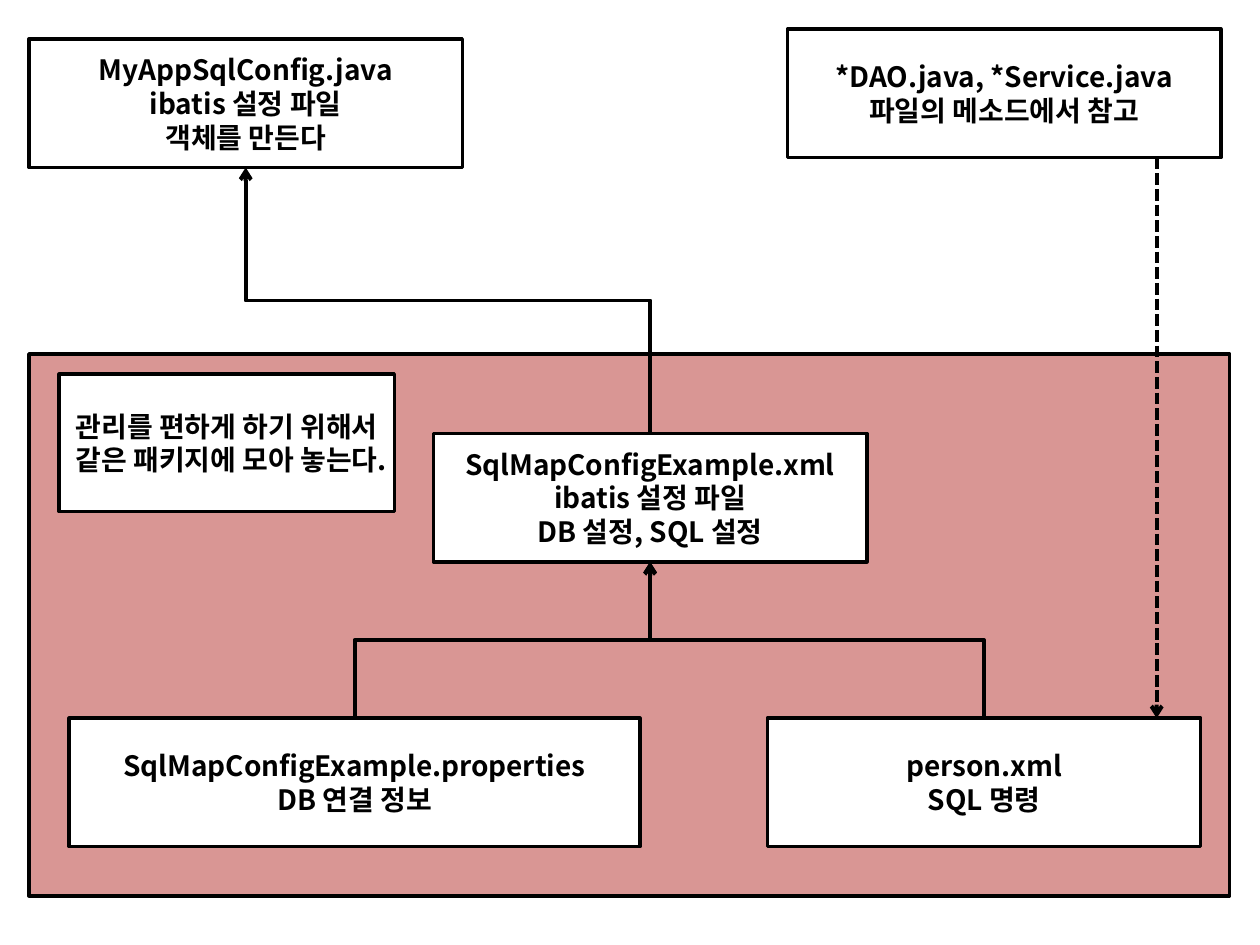
"""Build the slide showing how the ibatis configuration files relate."""
from dataclasses import dataclass

from pptx import Presentation
from pptx.dml.color import RGBColor
from pptx.enum.dml import MSO_LINE
from pptx.enum.shapes import MSO_CONNECTOR, MSO_SHAPE
from pptx.enum.text import MSO_ANCHOR, PP_ALIGN
from pptx.oxml.ns import qn
from pptx.util import Inches, Pt
from lxml.etree import SubElement

FONT = "Noto Sans CJK KR"
COLORS = {"ink": "000000", "box": "FFFFFF", "package": "D99694"}
BOX_WIDTH, BOX_HEIGHT = 3.44, 1.02
FILES_TOP = 5.7


@dataclass(frozen=True)
class Box:
    left: float
    top: float
    text: str = ""
    width: float = BOX_WIDTH
    height: float = BOX_HEIGHT
    fill: str = "box"

    @property
    def center(self) -> float:
        return self.left + self.width / 2

    @property
    def bottom(self) -> float:
        return self.top + self.height


@dataclass(frozen=True)
class Arrow:
    start: tuple[float, float]
    end: tuple[float, float]


PACKAGE = Box(0.23, 2.81, width=9.53, height=4.3, fill="package")
JAVA_CONFIG = Box(0.23, 0.31, "MyAppSqlConfig.java\nibatis 설정 파일\n객체를 만든다")
XML_CONFIG = Box(3.44, 3.44, "SqlMapConfigExample.xml\nibatis 설정 파일\nDB 설정, SQL 설정")
PROPERTIES = Box(0.55, FILES_TOP, "SqlMapConfigExample.properties\nDB 연결 정보", width=4.53)
PERSON = Box(6.09, FILES_TOP, "person.xml\nSQL 명령")
NOTE = Box(0.47, 2.97, "관리를 편하게 하기 위해서 같은 패키지에 모아 놓는다.", 2.66, 1.09)
DAO = Box(6.25, 0.23, "*DAO.java, *Service.java\n파일의 메소드에서 참고")
BOXES = [PACKAGE, JAVA_CONFIG, XML_CONFIG, PROPERTIES, PERSON, NOTE, DAO]

ELBOWS = [
    Arrow((source.center, source.top), (target.center, target.bottom))
    for source, target in [
        (PROPERTIES, XML_CONFIG),
        (PERSON, XML_CONFIG),
        (XML_CONFIG, JAVA_CONFIG),
    ]
]
REFERENCE = Arrow((9.18, DAO.bottom), (9.18, PERSON.top))


def color(name: str) -> RGBColor:
    return RGBColor.from_string(COLORS[name])


def draw_box(page, box: Box) -> None:
    shape = page.shapes.add_shape(
        MSO_SHAPE.RECTANGLE,
        Inches(box.left), Inches(box.top), Inches(box.width), Inches(box.height),
    )
    shape.shadow.inherit = False
    shape.fill.solid()
    shape.fill.fore_color.rgb = color(box.fill)
    shape.line.color.rgb = color("ink")
    shape.line.width = Pt(2)
    if not box.text:
        return
    frame = shape.text_frame
    frame.word_wrap = True
    frame.vertical_anchor = MSO_ANCHOR.MIDDLE
    frame.text = box.text
    for para in frame.paragraphs:
        para.alignment = PP_ALIGN.CENTER
        for span in para.runs:
            span.font.size = Pt(16)
            span.font.bold = True
            span.font.name = FONT
            span.font.color.rgb = color("ink")
            SubElement(span.font._element, qn("a:ea"), typeface=FONT)


def draw_line(page, kind, start: tuple[float, float], end: tuple[float, float]):
    connector = page.shapes.add_connector(kind, *map(Inches, (*start, *end)))
    connector.line.color.rgb = color("ink")
    connector.line.width = Pt(2.25)
    SubElement(connector.line._get_or_add_ln(), qn("a:tailEnd"), type="arrow")
    SubElement(connector._element.spPr, qn("a:effectLst"))
    return connector


def draw_rising_elbow(page, arrow: Arrow) -> None:
    (x1, y1), (x2, y2) = arrow.start, arrow.end
    middle_x, middle_y = (x1 + x2) / 2, (y1 + y2) / 2
    side = 1 if x2 > x1 else -1
    half_width, half_height = side * (y1 - y2) / 2, abs(x2 - x1) / 2
    connector = draw_line(
        page, MSO_CONNECTOR.ELBOW,
        (middle_x + half_width, middle_y + half_height),
        (middle_x - half_width, middle_y - half_height),
    )
    degrees = 90 if side > 0 else 270
    connector._element.spPr.find(qn("a:xfrm")).set("rot", str(degrees * 60000))


def main() -> None:
    deck = Presentation()
    deck.slide_width, deck.slide_height = Inches(10), Inches(7.5)
    page = deck.slides.add_slide(deck.slide_layouts[6])
    for box in BOXES:
        draw_box(page, box)
    for arrow in ELBOWS:
        draw_rising_elbow(page, arrow)
    reference = draw_line(page, MSO_CONNECTOR.STRAIGHT, REFERENCE.start, REFERENCE.end)
    reference.line.dash_style = MSO_LINE.SQUARE_DOT
    deck.save("out.pptx")


main()
